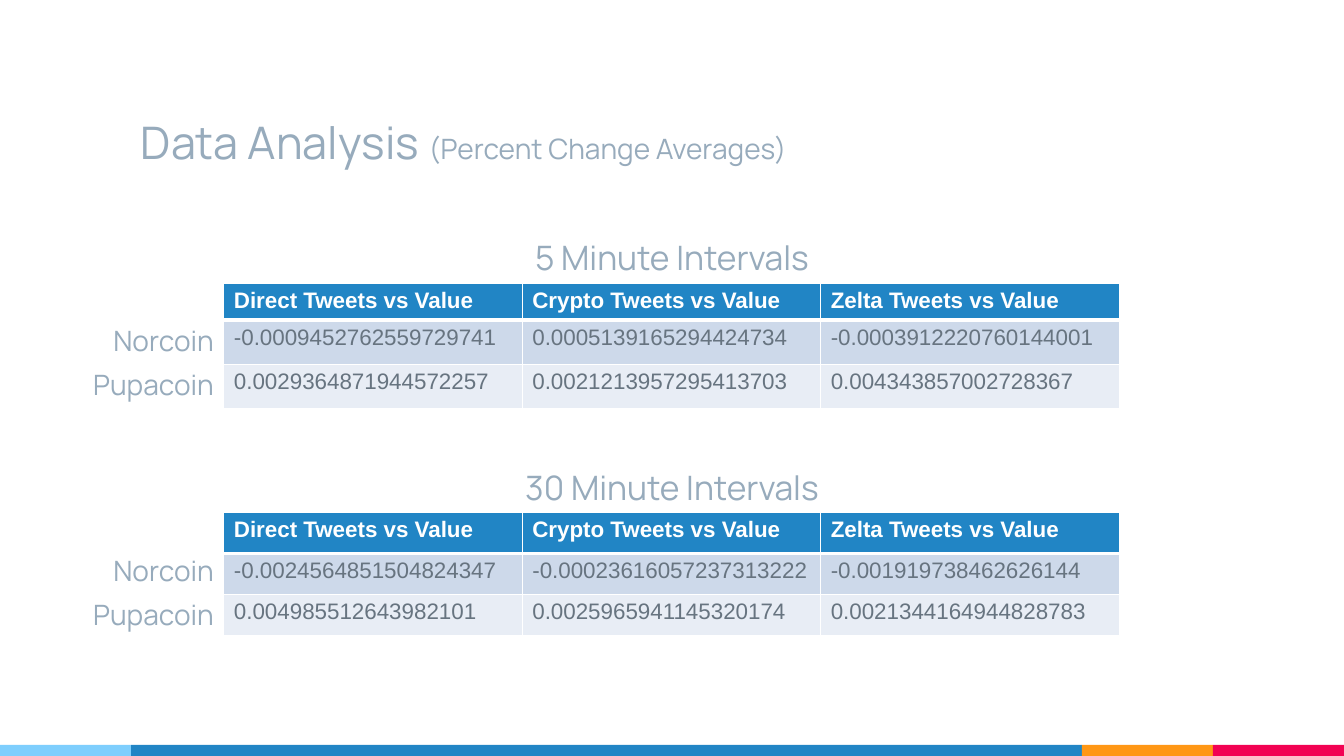
from dataclasses import dataclass
from itertools import product

from lxml.etree import SubElement
from pptx import Presentation
from pptx.dml.color import RGBColor
from pptx.enum.shapes import MSO_SHAPE as Shape
from pptx.enum.text import MSO_ANCHOR as Anchor, PP_ALIGN as Align
from pptx.oxml.ns import qn
from pptx.slide import Slide
from pptx.table import _Cell as Cell
from pptx.util import Inches, Pt

COLORS = {
    "sky": "7ECEFD",
    "blue": "2185C5",
    "orange": "FF9715",
    "pink": "F20253",
    "heading": "97ABBC",
    "value": "677480",
    "band_dark": "CDD9EA",
    "band_light": "E8EDF5",
    "white": "FFFFFF",
}
HEADING_FONT, TABLE_FONT = "Manrope", "Arial"
HEADERS = ("Direct Tweets vs Value", "Crypto Tweets vs Value", "Zelta Tweets vs Value")
COINS = ("Norcoin", "Pupacoin")
ROW_FILLS = ("blue", "band_dark", "band_light")
TABLE_LEFT, COLUMN_WIDTH = 2.22, 2.96
LABEL_LEFT, LABEL_WIDTH, LABEL_HEIGHT = 0.72, 1.5, 0.44


@dataclass(frozen=True)
class Stripe:
    color: str
    width: float


@dataclass(frozen=True)
class Interval:
    title: str
    title_top: float
    table_top: float
    row_heights: tuple[float, ...]
    labels_top: float
    values: tuple[tuple[str, ...], ...]


STRIPES = (Stripe("sky", 1.3), Stripe("blue", 9.43), Stripe("orange", 1.3), Stripe("pink", 1.3))
INTERVALS = (
    Interval("5 Minute Intervals", 2.3, 2.81, (0.34, 0.44, 0.44), 3.16, (
        ("-0.0009452762559729741", "0.0005139165294424734", "-0.0003912220760144001"),
        ("0.0029364871944572257", "0.0021213957295413703", "0.004343857002728367"),
    )),
    Interval("30 Minute Intervals", 4.58, 5.08, (0.41, 0.41, 0.41), 5.44, (
        ("-0.0024564851504824347", "-0.00023616057237313222", "-0.001919738462626144"),
        ("0.004985512643982101", "0.0025965941145320174", "0.0021344164944828783"),
    )),
)


def rgb(name: str) -> RGBColor:
    return RGBColor.from_string(COLORS[name])


def add_stripes(page: Slide) -> None:
    left = 0.0
    for stripe in STRIPES:
        box = page.shapes.add_shape(
            Shape.RECTANGLE, Inches(left), Inches(7.39), Inches(stripe.width), Inches(0.11))
        box.shadow.inherit = False
        box.fill.solid()
        box.fill.fore_color.rgb = rgb(stripe.color)
        box.line.fill.background()
        left += stripe.width


def add_title(page: Slide) -> None:
    box = page.shapes.add_textbox(Inches(1.3), Inches(0.52), Inches(9.42), Inches(1.25))
    frame = box.text_frame
    frame.word_wrap = True
    frame.vertical_anchor = Anchor.BOTTOM
    frame.margin_top = frame.margin_bottom = Inches(0.1)
    para = frame.paragraphs[0]
    para.font.name = HEADING_FONT
    para.font.color.rgb = rgb("heading")
    for text, size in (("Data Analysis ", 32), ("(Percent Change Averages)", 20)):
        span = para.add_run()
        span.text = text
        span.font.size = Pt(size)


def add_label(page: Slide, text: str, left: float, top: float, width: float,
              height: float, size: int, align: Align) -> None:
    box = page.shapes.add_textbox(Inches(left), Inches(top), Inches(width), Inches(height))
    box.text_frame.word_wrap = True
    para = box.text_frame.paragraphs[0]
    para.text = text
    para.alignment = align
    para.font.name = HEADING_FONT
    para.font.size = Pt(size)
    para.font.color.rgb = rgb("heading")


def set_borders(cell: Cell, top: int, bottom: int) -> None:
    """Give the cell white edges, with top and bottom widths in points."""
    properties = cell._tc.get_or_add_tcPr()
    for tag, width in (("lnL", 1), ("lnR", 1), ("lnT", top), ("lnB", bottom)):
        line = SubElement(properties, qn(f"a:{tag}"), w=str(Pt(width)))
        fill = SubElement(line, qn("a:solidFill"))
        SubElement(fill, qn("a:srgbClr"), val=COLORS["white"])


def add_values_table(page: Slide, interval: Interval) -> None:
    rows = (HEADERS, *interval.values)
    table = page.shapes.add_table(
        len(rows), len(HEADERS), Inches(TABLE_LEFT), Inches(interval.table_top),
        Inches(COLUMN_WIDTH * len(HEADERS)), Inches(sum(interval.row_heights))).table
    for column in table.columns:
        column.width = Inches(COLUMN_WIDTH)
    for row, height in zip(table.rows, interval.row_heights):
        row.height = Inches(height)
    for row, column in product(range(len(rows)), range(len(HEADERS))):
        is_header = row == 0
        cell = table.cell(row, column)
        set_borders(cell, top=3 if row == 1 else 1, bottom=3 if is_header else 1)
        cell.fill.solid()
        cell.fill.fore_color.rgb = rgb(ROW_FILLS[row])
        para = cell.text_frame.paragraphs[0]
        para.text = rows[row][column]
        para.font.name = TABLE_FONT
        para.font.size = Pt(16)
        para.font.bold = is_header
        para.font.color.rgb = rgb("white" if is_header else "value")


def add_interval(page: Slide, interval: Interval) -> None:
    add_values_table(page, interval)
    for index, coin in enumerate(COINS):
        add_label(page, coin, LABEL_LEFT, interval.labels_top + index * LABEL_HEIGHT,
                  LABEL_WIDTH, LABEL_HEIGHT, 20, Align.RIGHT)
    add_label(page, interval.title, 4.92, interval.title_top, 3.49, 0.5, 24, Align.CENTER)


def main() -> None:
    deck = Presentation()
    deck.slide_width, deck.slide_height = Inches(13.33), Inches(7.5)
    page = deck.slides.add_slide(deck.slide_layouts[6])
    add_stripes(page)
    add_title(page)
    for interval in INTERVALS:
        add_interval(page, interval)
    deck.save("out.pptx")


if __name__ == "__main__":
    main()
